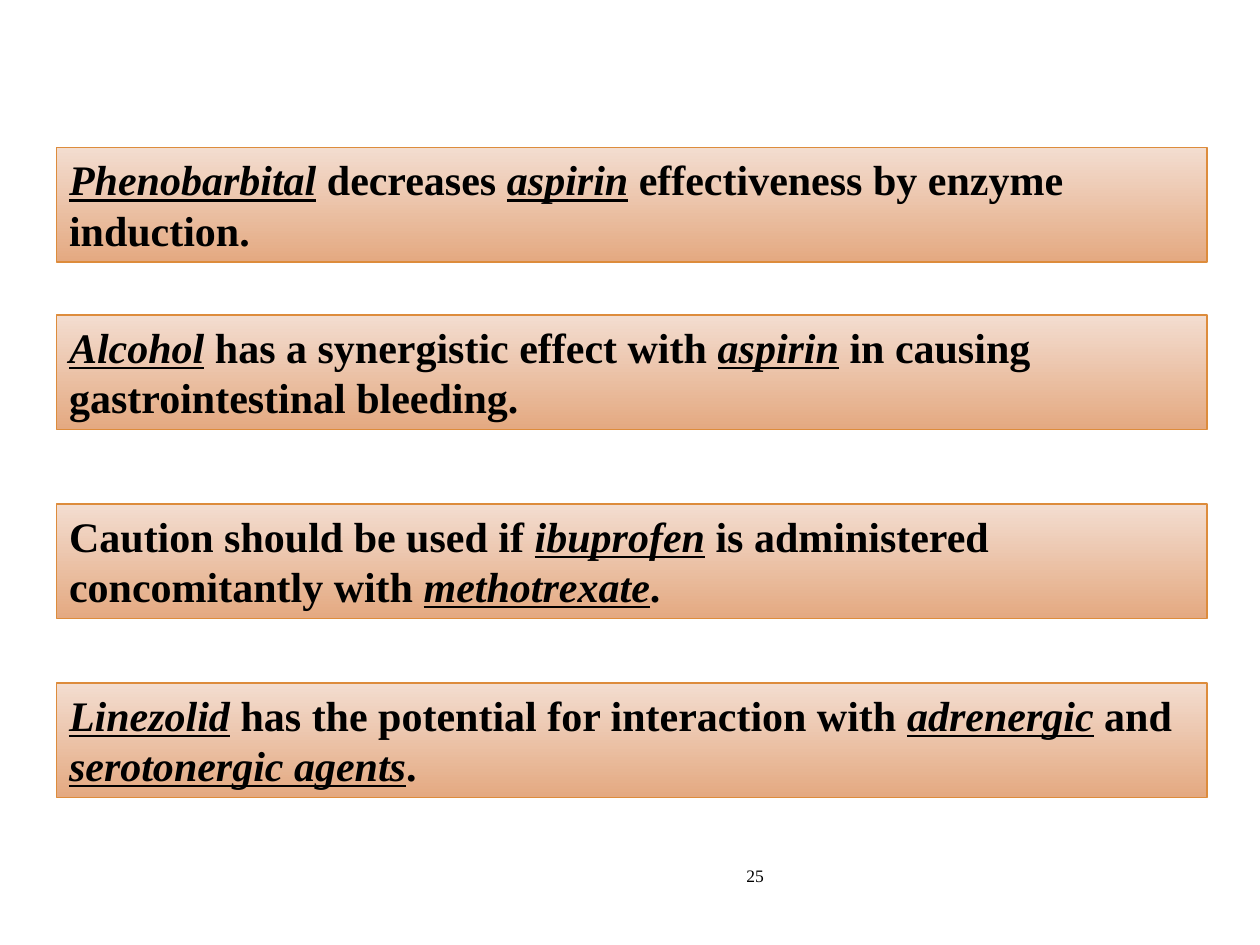
from pptx import Presentation
from pptx.dml.color import RGBColor
from pptx.enum.shapes import MSO_SHAPE
from pptx.enum.text import MSO_ANCHOR, MSO_AUTO_SIZE, PP_ALIGN
from pptx.util import Inches, Pt

BLACK = RGBColor(0x00, 0x00, 0x00)
PEACH_LIGHT = RGBColor(0xF3, 0xDD, 0xD0)
PEACH_DARK = RGBColor(0xE4, 0xA9, 0x81)
ORANGE = RGBColor(0xDD, 0x8C, 0x3C)
FONT = "Times New Roman"

INTERACTIONS = [
    (1.17, "*Phenobarbital* decreases *aspirin* effectiveness by enzyme induction."),
    (2.5, "*Alcohol* has a synergistic effect with *aspirin* in causing gastrointestinal bleeding."),
    (4, "Caution should be used if *ibuprofen* is administered concomitantly with *methotrexate*."),
    (5.42, "*Linezolid* has the potential for interaction with *adrenergic* and *serotonergic agents*."),
]


def write_text(frame, text, size, bold=False, align=PP_ALIGN.LEFT, anchor=MSO_ANCHOR.TOP):
    """Write text in one paragraph; words between asterisks are italic and underlined."""
    frame.word_wrap = True
    frame.vertical_anchor = anchor
    paragraph = frame.paragraphs[0]
    paragraph.alignment = align
    for index, words in enumerate(text.split("*")):
        if not words:
            continue
        run = paragraph.add_run()
        run.text = words
        font = run.font
        font.name, font.size, font.bold = FONT, Pt(size), bold
        font.color.rgb = BLACK
        font.italic = font.underline = index % 2 == 1


def add_interaction(slide, left, top, width, height, statement):
    """Place one shaded panel with a drug interaction statement."""
    panel = slide.shapes.add_shape(MSO_SHAPE.RECTANGLE, left, top, width, height)
    panel.shadow.inherit = False
    panel.fill.gradient()
    panel.fill.gradient_angle = 270
    for stop, color in zip(panel.fill.gradient_stops, (PEACH_LIGHT, PEACH_DARK)):
        stop.color.rgb = color
    panel.line.color.rgb = ORANGE
    panel.line.width = Pt(0.75)
    write_text(panel.text_frame, statement, size=24, bold=True)
    panel.text_frame.auto_size = MSO_AUTO_SIZE.SHAPE_TO_FIT_TEXT


def add_page_number(slide, left, top, width, height, number):
    """Place the page number at the right of its box."""
    page = slide.shapes.add_textbox(left, top, width, height)
    write_text(page.text_frame, number, size=10, align=PP_ALIGN.RIGHT, anchor=MSO_ANCHOR.MIDDLE)


def main():
    """Build the slide of drug interactions and save it."""
    deck = Presentation()
    deck.slide_width, deck.slide_height = Inches(10), Inches(7.5)
    slide = deck.slides.add_slide(deck.slide_layouts[6])
    add_page_number(slide, Inches(3.83), Inches(6.75), Inches(2.33), Inches(0.4), "25")
    for top, statement in INTERACTIONS:
        add_interaction(slide, Inches(0.45), Inches(top), Inches(9.13), Inches(0.91), statement)
    deck.save("out.pptx")


if __name__ == "__main__":
    main()
